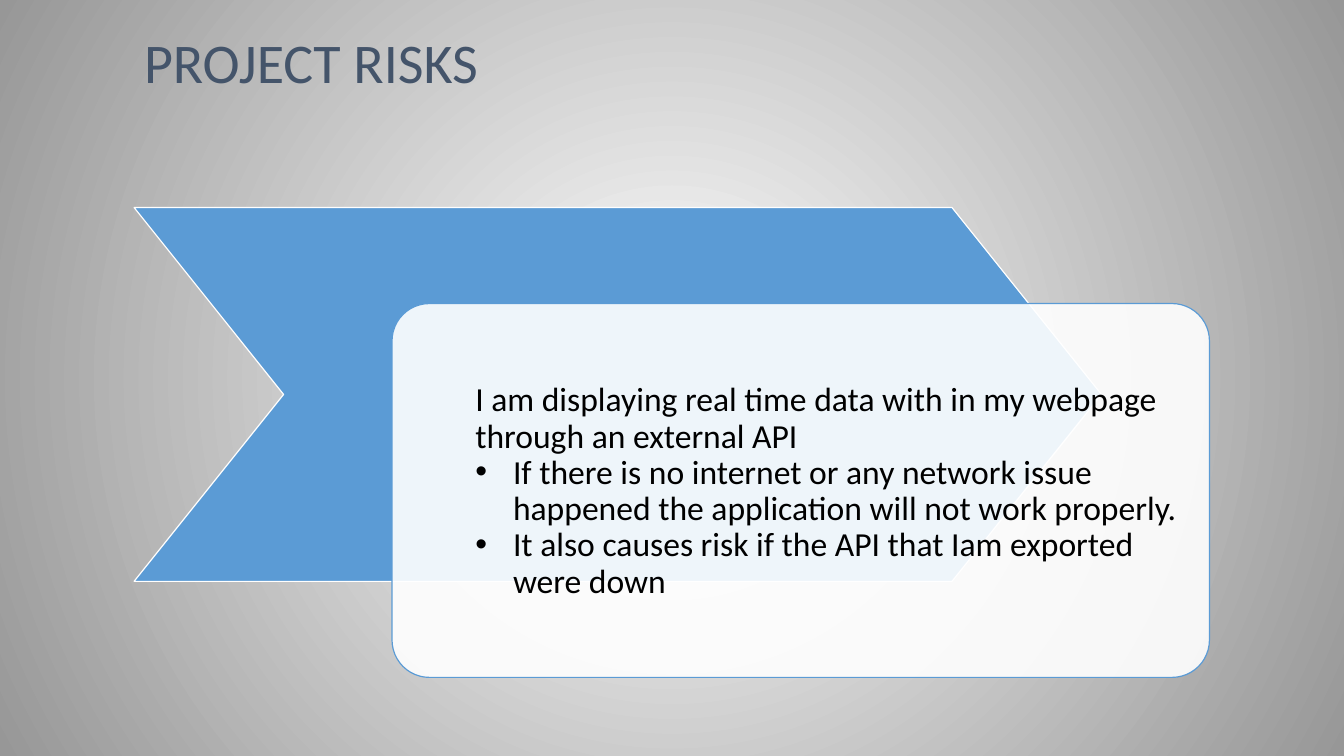
"""Build the project risks slide with a chevron and a translucent card."""
from lxml.etree import SubElement
from pptx import Presentation
from pptx.dml.color import RGBColor
from pptx.enum.shapes import MSO_SHAPE
from pptx.oxml.ns import qn
from pptx.util import Cm, Pt


def color(value):
    return RGBColor.from_string(value)


def add_text(page, place, lines, size, text_color):
    box = page.shapes.add_textbox(*[Cm(length) for length in place])
    box.text_frame.word_wrap = True
    box.text_frame.text = "\n".join(lines)
    for para in box.text_frame.paragraphs:
        para.line_spacing = 0.9
        para.font.name = "Calibri"
        para.font.size = Pt(size)
        para.font.color.rgb = color(text_color)
    return box


deck = Presentation()
deck.slide_width, deck.slide_height = Cm(33.87), Cm(19.05)
page = deck.slides.add_slide(deck.slide_layouts[6])

backdrop = page.background.fill
backdrop.gradient()
for stop, value in zip(backdrop.gradient_stops, ["FFFFFF", "979797"]):
    stop.color.rgb = color(value)
gradient = page.background._cSld.find(".//" + qn("a:gradFill"))
gradient.remove(gradient.find(qn("a:lin")))
circle = SubElement(gradient, qn("a:path"), {"path": "circle"})
SubElement(circle, qn("a:fillToRect"), {side: "50000" for side in "ltrb"})

add_text(page, (3.38, 0.76, 27.1, 3.68), ["PROJECT RISKS"], 40, "44546A")

panels = [
    (MSO_SHAPE.CHEVRON, (3.38, 5.23, 24.38, 9.42), 0.4, "5B9BD5", "FFFFFF"),
    (MSO_SHAPE.ROUNDED_RECTANGLE, (9.88, 7.65, 20.6, 9.42), 0.1, "FFFFFF", "5B9BD5"),
]
for kind, place, adjustment, fill, line in panels:
    panel = page.shapes.add_shape(kind, *[Cm(length) for length in place])
    panel.adjustments[0] = adjustment
    panel.shadow.inherit = False
    panel.fill.solid()
    panel.fill.fore_color.rgb = color(fill)
    panel.line.color.rgb = color(line)
    panel.line.width = Pt(0.85)
card_fill = panel._element.spPr.find(qn("a:solidFill"))
SubElement(card_fill[0], qn("a:alpha"), {"val": "90000"})

risks = [
    "I am displaying real time data with in my webpage through an external API",
    "If there is no internet or any network issue happened the application will not work properly.",
    "It also causes risk if the API that Iam exported were down",
]
risk_box = add_text(page, (11.73, 9.52, 18.4, 5.8), risks, 24, "000000")
indent = Cm(0.95)
for para in risk_box.text_frame.paragraphs[1:]:
    properties = para._p.get_or_add_pPr()
    properties.set("marL", str(indent))
    properties.set("indent", str(-indent))
    bullet_font = properties.makeelement(qn("a:buFont"), {"typeface": "Arial"})
    bullet = properties.makeelement(qn("a:buChar"), {"char": "•"})
    for element in (bullet_font, bullet):
        properties.find(qn("a:defRPr")).addprevious(element)

deck.save("out.pptx")
